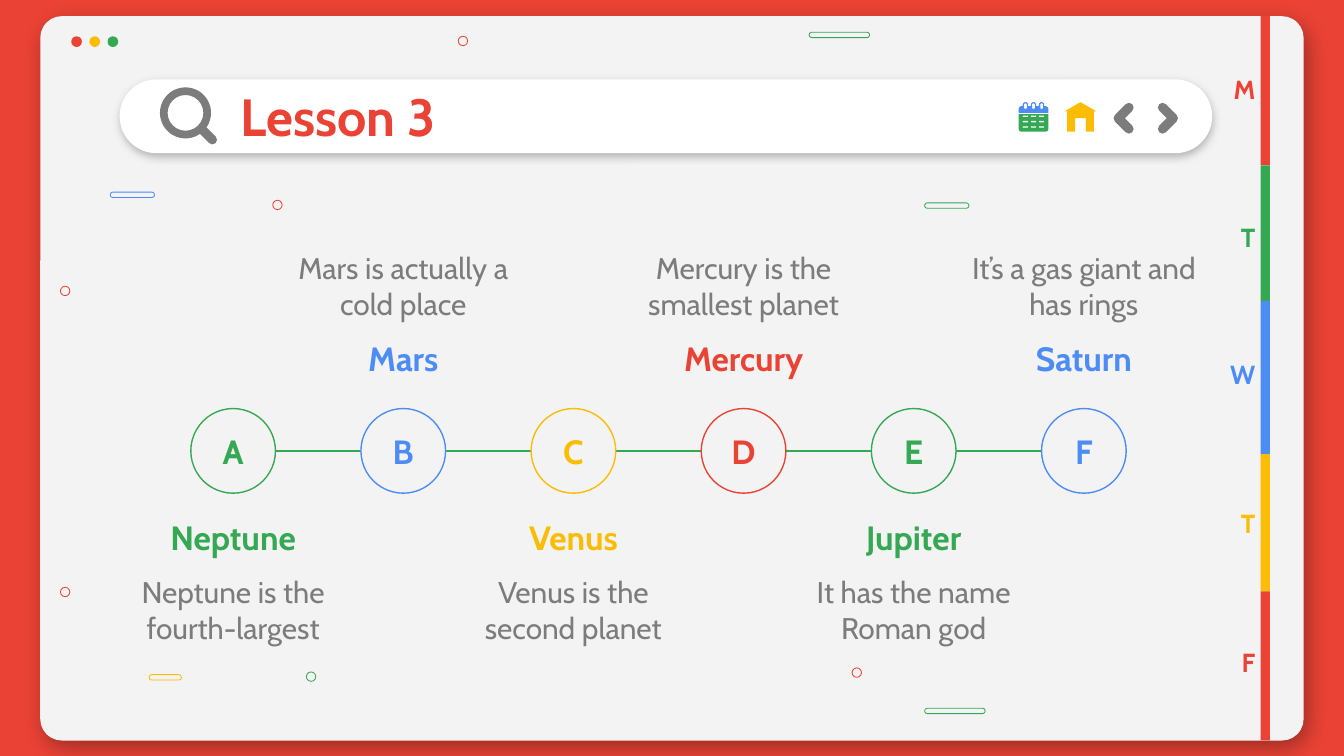
from dataclasses import dataclass
from itertools import pairwise, product
from typing import NamedTuple

import pptx
import pptx.dml.color
import pptx.enum.shapes
import pptx.enum.text
import pptx.oxml
import pptx.oxml.ns
import pptx.util

Inches = pptx.util.Inches
Pt = pptx.util.Pt
Kind = pptx.enum.shapes.MSO_SHAPE
Align = pptx.enum.text.PP_ALIGN
Anchor = pptx.enum.text.MSO_ANCHOR
qn = pptx.oxml.ns.qn


@dataclass(frozen=True)
class Theme:
    font: str = "Cabin"
    red: str = "EA4335"
    green: str = "34A853"
    blue: str = "4D8CF5"
    gold: str = "FBBC05"
    gray: str = "7C7C7C"
    panel: str = "F3F3F3"
    white: str = "FFFFFF"
    title: float = 28
    head: float = 18
    body: float = 16
    tab: float = 14
    thin: float = 0.44
    line: float = 0.75


class Box(NamedTuple):
    left: float
    top: float
    width: float
    height: float


class Planet(NamedTuple):
    mark: str
    name: str
    fact: str
    color: str


class Day(NamedTuple):
    mark: str
    color: str
    top: float
    end: float
    label: float


class Shade(NamedTuple):
    color: str
    alpha: int
    blur: float
    dist: float
    angle: int


T = Theme()

PLANETS = [
    Planet("A", "Neptune", "Neptune is the fourth-largest", T.green),
    Planet("B", "Mars", "Mars is actually a cold place", T.blue),
    Planet("C", "Venus", "Venus is the second planet", T.gold),
    Planet("D", "Mercury", "Mercury is the smallest planet", T.red),
    Planet("E", "Jupiter", "It has the name Roman god", T.green),
    Planet("F", "Saturn", "It’s a gas giant and has rings", T.blue),
]
DAYS = [
    Day("M", T.red, 0.12, 1.23, 0.51),
    Day("T", T.green, 1.23, 2.24, 1.61),
    Day("W", T.blue, 2.24, 3.38, 2.63),
    Day("T", T.gold, 3.38, 4.4, 3.74),
    Day("F", T.red, 4.4, 5.51, 4.77),
]
RINGS = [(0.45, 4.37, T.red), (2.03, 1.49, T.red), (0.45, 2.13, T.red),
         (2.28, 5, T.green), (6.34, 4.97, T.red), (3.41, 0.27, T.red)]
DASHES = [(1.11, 5.02, 0.24, T.gold), (6.88, 5.27, 0.45, T.green),
          (0.82, 1.43, 0.33, T.blue), (6.88, 1.51, 0.33, T.green),
          (6.02, 0.24, 0.45, T.green)]


def rgb(code: str):
    return pptx.dml.color.RGBColor.from_string(code)


def paint(shape, fill: str | None, line: str | None = None, width: float = T.line):
    shape.shadow.inherit = False
    if fill:
        shape.fill.solid()
        shape.fill.fore_color.rgb = rgb(fill)
    else:
        shape.fill.background()
    if line:
        shape.line.color.rgb = rgb(line)
        shape.line.width = Pt(width)
    else:
        shape.line.fill.background()


def draw(slide, kind, box: Box, fill, line=None, width=T.line, adjust=()):
    shape = slide.shapes.add_shape(kind, *map(Inches, box))
    for i, value in enumerate(adjust):
        shape.adjustments[i] = value
    paint(shape, fill, line, width)
    return shape


def cast(shape, shade: Shade):
    """Give the shape an outer shadow."""
    effects = shape.element.spPr.find(qn("a:effectLst"))
    effects.append(pptx.oxml.parse_xml(
        f'<a:outerShdw {pptx.oxml.ns.nsdecls("a")} blurRad="{Pt(shade.blur)}" '
        f'dist="{Pt(shade.dist)}" dir="{shade.angle * 60000}" algn="bl" rotWithShape="0">'
        f'<a:srgbClr val="{shade.color}"><a:alpha val="{shade.alpha * 1000}"/></a:srgbClr>'
        '</a:outerShdw>'))


def write(shape, text: str, size: float, color: str, bold=True,
          align=Align.CENTER, anchor=Anchor.MIDDLE):
    frame = shape.text_frame
    frame.text = text
    frame.word_wrap = True
    frame.auto_size = pptx.enum.text.MSO_AUTO_SIZE.NONE
    frame.vertical_anchor = anchor
    frame.margin_left = frame.margin_right = Inches(0.1)
    frame.margin_top = frame.margin_bottom = Inches(0.1)
    frame.paragraphs[0].alignment = align
    font = frame.paragraphs[0].runs[0].font
    font.name, font.size, font.bold = T.font, Pt(size), bold
    font.color.rgb = rgb(color)


def label(slide, box: Box, text: str, size: float, color: str, **style):
    write(slide.shapes.add_textbox(*map(Inches, box)), text, size, color, **style)


def trace(slide, points, close: bool):
    first, *rest = [(Inches(x), Inches(y)) for x, y in points]
    pen = slide.shapes.build_freeform(*first)
    pen.add_line_segments(rest, close=close)
    return pen.convert_to_shape()


def stroke(slide, points, width: float = 5):
    """Draw a thick gray line with round ends and joins."""
    shape = trace(slide, points, False)
    paint(shape, None, T.gray, width)
    line = shape.element.spPr.find(qn("a:ln"))
    line.set("cap", "rnd")
    line.append(pptx.oxml.parse_xml(f'<a:round {pptx.oxml.ns.nsdecls("a")}/>'))


def draw_frame(slide):
    panel = draw(slide, Kind.ROUNDED_RECTANGLE, Box(0.3, 0.12, 9.4, 5.39), T.panel, adjust=[0.03])
    cast(panel, Shade("000000", 32, 12.4, 5.2, 57))
    search = draw(slide, Kind.ROUNDED_RECTANGLE, Box(0.89, 0.59, 8.13, 0.55), T.white, adjust=[0.5])
    cast(search, Shade(T.gray, 50, 4.5, 1.5, 90))
    for i, color in enumerate([T.red, T.gold, T.green]):
        draw(slide, Kind.OVAL, Box(0.53 + 0.27 * i / 2, 0.27, 0.08, 0.08), color)
    for left, top, color in RINGS:
        draw(slide, Kind.OVAL, Box(left, top, 0.07, 0.07), None, color, T.thin)
    for left, top, width, color in DASHES:
        draw(slide, Kind.ROUNDED_RECTANGLE, Box(left, top, width, 0.04), None, color, T.thin, [0.5])


def draw_icons(slide):
    draw(slide, Kind.DONUT, Box(1.19, 0.65, 0.38, 0.38), T.gray, adjust=[0.15])
    stroke(slide, [(1.5, 0.96), (1.58, 1.04)])
    top = Kind.ROUND_2_SAME_RECTANGLE
    draw(slide, top, Box(7.58, 0.79, 0.22, 0.05), T.blue, adjust=[0.4, 0])
    draw(slide, top, Box(7.58, 0.85, 0.22, 0.13), T.green, adjust=[0, 0.15])
    for col in range(3):
        left = 7.61 + 0.06 * col
        for box, color in [(Box(left, 0.76, 0.04, 0.07), T.blue),
                           (Box(left + 0.01, 0.77, 0.02, 0.04), T.white)]:
            draw(slide, Kind.ROUNDED_RECTANGLE, box, color, adjust=[0.5])
    for col, row in product(range(3), repeat=2):
        box = Box(7.61 + 0.06 * col, 0.86 + 0.04 * row, 0.04, 0.01)
        draw(slide, Kind.ROUNDED_RECTANGLE, box, T.white, adjust=[0.5])
    house = [(8.04, 0.76), (7.92, 0.83), (7.94, 0.83), (7.94, 0.98), (8, 0.98), (8, 0.88),
             (8.08, 0.88), (8.08, 0.98), (8.14, 0.98), (8.14, 0.83), (8.16, 0.83)]
    paint(trace(slide, house, True), T.gold)
    for tail, tip in [(8.4, 8.32), (8.65, 8.73)]:
        stroke(slide, [(tail, 0.8), (tip, 0.88), (tail, 0.96)])


def draw_days(slide):
    for day in DAYS:
        draw(slide, Kind.RECTANGLE, Box(9.38, day.top, 0.07, day.end - day.top), day.color)
        label(slide, Box(8.96, day.label, 0.48, 0.31), day.mark, T.tab, day.color,
              align=Align.RIGHT)


def draw_planets(slide):
    first, last, top, size, wide = 1.42, 7.75, 3.04, 0.63, 1.9
    mid = top + size / 2
    step = (last - first) / (len(PLANETS) - 1)
    lefts = [first + step * i for i in range(len(PLANETS))]
    for left, right in pairwise(lefts):
        link = slide.shapes.add_connector(
            pptx.enum.shapes.MSO_CONNECTOR.STRAIGHT, Inches(left + size), Inches(mid),
            Inches(right), Inches(mid))
        link.line.color.rgb = rgb(T.green)
        link.line.width = Pt(T.line)
        link.element.spPr.append(
            pptx.oxml.parse_xml(f'<a:effectLst {pptx.oxml.ns.nsdecls("a")}/>'))
    for i, (planet, left) in enumerate(zip(PLANETS, lefts)):
        disc = draw(slide, Kind.OVAL, Box(left, top, size, size), T.panel, planet.color)
        write(disc, planet.mark, T.head, planet.color)
        name, fact = (2.51, 1.76) if i % 2 else (3.84, 4.17)
        edge = left + (size - wide) / 2
        label(slide, Box(edge, name, wide, 0.31), planet.name, T.head, planet.color)
        label(slide, Box(edge, fact, wide, 0.67), planet.fact, T.body, T.gray,
              bold=False, anchor=Anchor.TOP)


def place_title(slide):
    title = slide.shapes.title
    title.left, title.top, title.width, title.height = map(Inches, Box(1.69, 0.6, 7.09, 0.52))
    write(title, "Lesson 3", T.title, T.red, align=Align.LEFT)
    title.element.getparent().append(title.element)


def main():
    deck = pptx.Presentation()
    deck.slide_width = Inches(10)
    deck.slide_height = deck.slide_width * 9 // 16
    slide = deck.slides.add_slide(deck.slide_layouts[5])
    slide.background.fill.solid()
    slide.background.fill.fore_color.rgb = rgb(T.red)
    for step in (draw_frame, draw_icons, draw_days, draw_planets, place_title):
        step(slide)
    deck.save("out.pptx")


if __name__ == "__main__":
    main()
